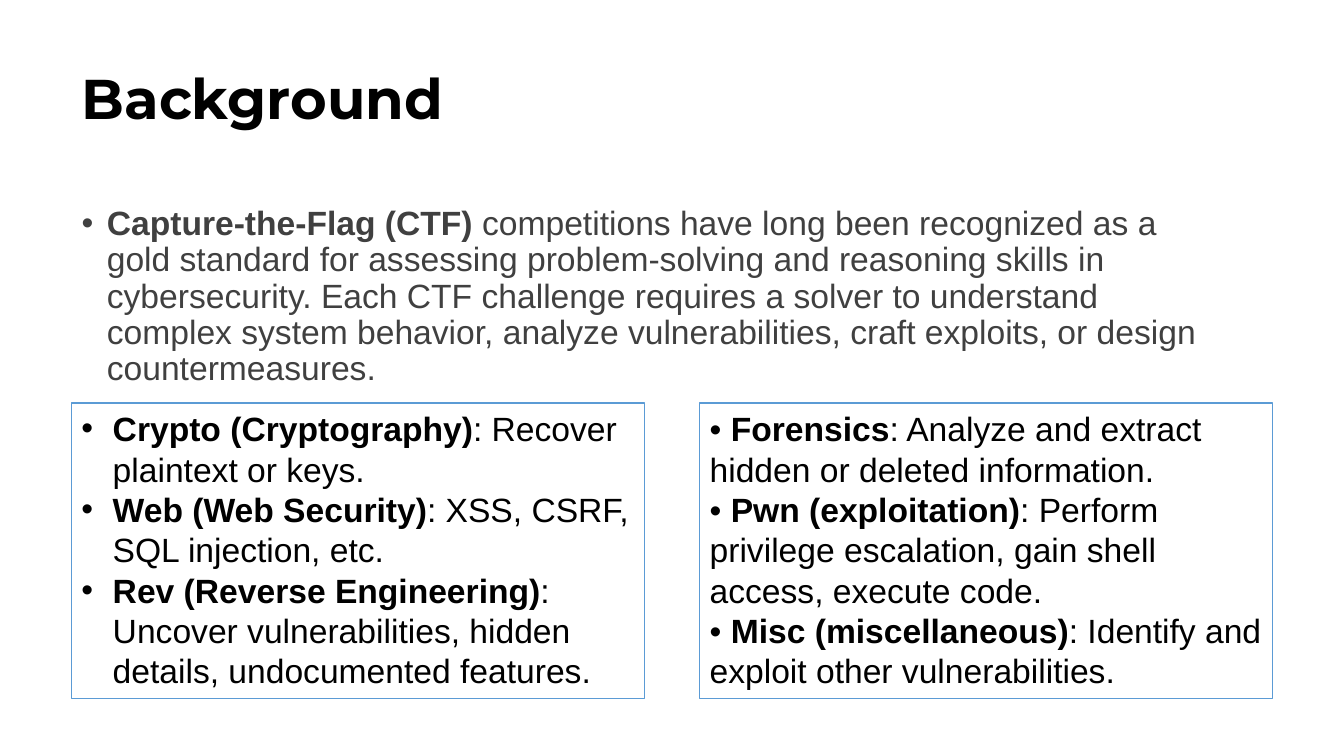
import pptx
import pptx.dml.color
import pptx.enum.shapes
import pptx.enum.text
import pptx.oxml.ns
import pptx.util
from lxml import etree

Inches = pptx.util.Inches
ANCHOR = pptx.enum.text.MSO_ANCHOR


def color(hex_value):
    return pptx.dml.color.RGBColor.from_string(hex_value)


def write_para(para, spans, font, indent=0):
    """Write (text, bold) spans; a positive indent in inches gives a hanging bullet."""
    para.alignment = pptx.enum.text.PP_ALIGN.LEFT
    for text, bold in spans:
        span = para.add_run()
        span.text = text
        for name, value in {"name": "Arial", "size": pptx.util.Pt(24), "bold": bold, **font}.items():
            if name == "color":
                span.font.color.rgb = color(value)
            else:
                setattr(span.font, name, value)
    if indent:
        properties = para._p.get_or_add_pPr()
        properties.set("marL", str(Inches(indent)))
        properties.set("indent", str(-Inches(indent)))
        bullet_font = etree.SubElement(properties, pptx.oxml.ns.qn("a:buFont"))
        bullet_font.set("typeface", "Arial")
        bullet = etree.SubElement(properties, pptx.oxml.ns.qn("a:buChar"))
        bullet.set("char", "•")


deck = pptx.Presentation()
deck.slide_width = Inches(13.33)
deck.slide_height = Inches(7.5)
page = deck.slides.add_slide(deck.slide_layouts[1])
title, body = page.shapes.title, page.placeholders[1]

# Title and introduction
for holder, top, height, anchor in [(title, 0.28, 1.45, ANCHOR.MIDDLE), (body, 2, 4.76, ANCHOR.TOP)]:
    holder.left, holder.top = Inches(0.71), Inches(top)
    holder.width, holder.height = Inches(11.5), Inches(height)
    frame = holder.text_frame
    for name, value in {"word_wrap": True, "vertical_anchor": anchor,
                        "auto_size": pptx.enum.text.MSO_AUTO_SIZE.NONE}.items():
        setattr(frame, name, value)
    frame.paragraphs[0].line_spacing = 0.9

write_para(title.text_frame.paragraphs[0], [("Background", True)],
           {"name": "Montserrat", "size": pptx.util.Pt(40), "color": "000000"})

intro = body.text_frame.paragraphs[0]
intro.space_before = pptx.util.Pt(10)
write_para(intro, [
    ("Capture-the-Flag (CTF)", True),
    (" competitions have long been recognized as a gold standard for assessing "
     "problem-solving and reasoning skills in cybersecurity. Each CTF challenge requires "
     "a solver to understand complex system behavior, analyze vulnerabilities, craft "
     "exploits, or design countermeasures.", False),
], {"color": "404040"}, indent=0.25)

# Challenge categories: left, bullet indent, typed bullet, entries
category_boxes = [
    (0.71, 0.31, "", [
        ("Crypto (Cryptography)", ": Recover plaintext or keys."),
        ("Web (Web Security)", ": XSS, CSRF, SQL injection, etc."),
        ("Rev (Reverse Engineering)",
         ": Uncover vulnerabilities, hidden details, undocumented features."),
    ]),
    (6.94, 0, "• ", [
        ("Forensics", ": Analyze and extract hidden or deleted information."),
        ("Pwn (exploitation)", ": Perform privilege escalation, gain shell access, execute code."),
        ("Misc (miscellaneous)", ": Identify and exploit other vulnerabilities."),
    ]),
]
for left, indent, typed_bullet, entries in category_boxes:
    box = page.shapes.add_shape(pptx.enum.shapes.MSO_SHAPE.RECTANGLE,
                                Inches(left), Inches(4), Inches(5.68), Inches(2.93))
    box.shadow.inherit = False
    box.fill.solid()
    box.fill.fore_color.rgb = color("FFFFFF")
    box.line.color.rgb = color("5B9BD5")
    box.line.width = pptx.util.Pt(1)
    frame = box.text_frame
    for name, value in {"word_wrap": True, "vertical_anchor": ANCHOR.TOP,
                        "auto_size": pptx.enum.text.MSO_AUTO_SIZE.SHAPE_TO_FIT_TEXT}.items():
        setattr(frame, name, value)
    for number, (category, description) in enumerate(entries):
        para = frame.add_paragraph() if number else frame.paragraphs[0]
        spans = [(typed_bullet, False), (category, True), (description, False)]
        write_para(para, [span for span in spans if span[0]], {"color": "000000"}, indent)

deck.save("out.pptx")
